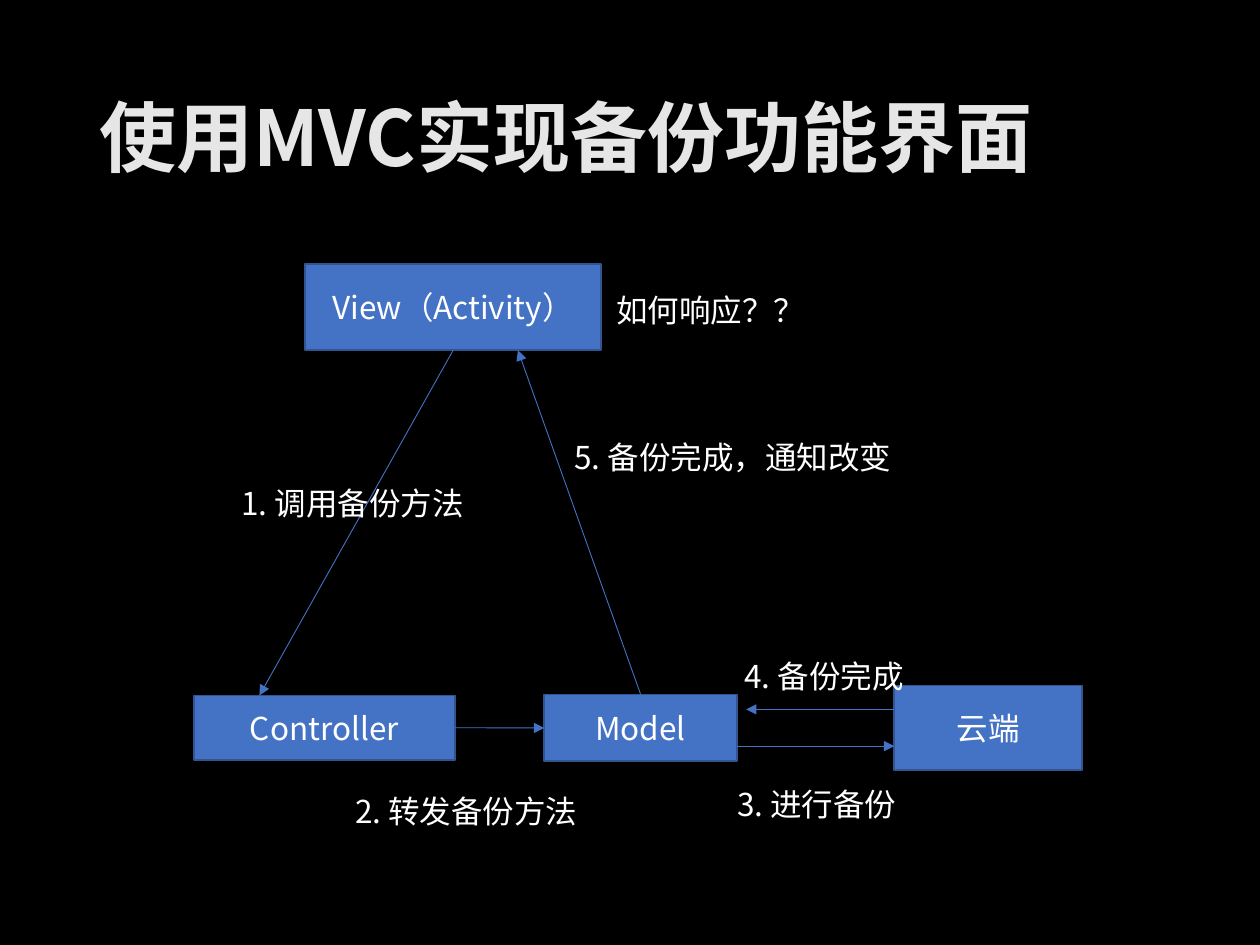
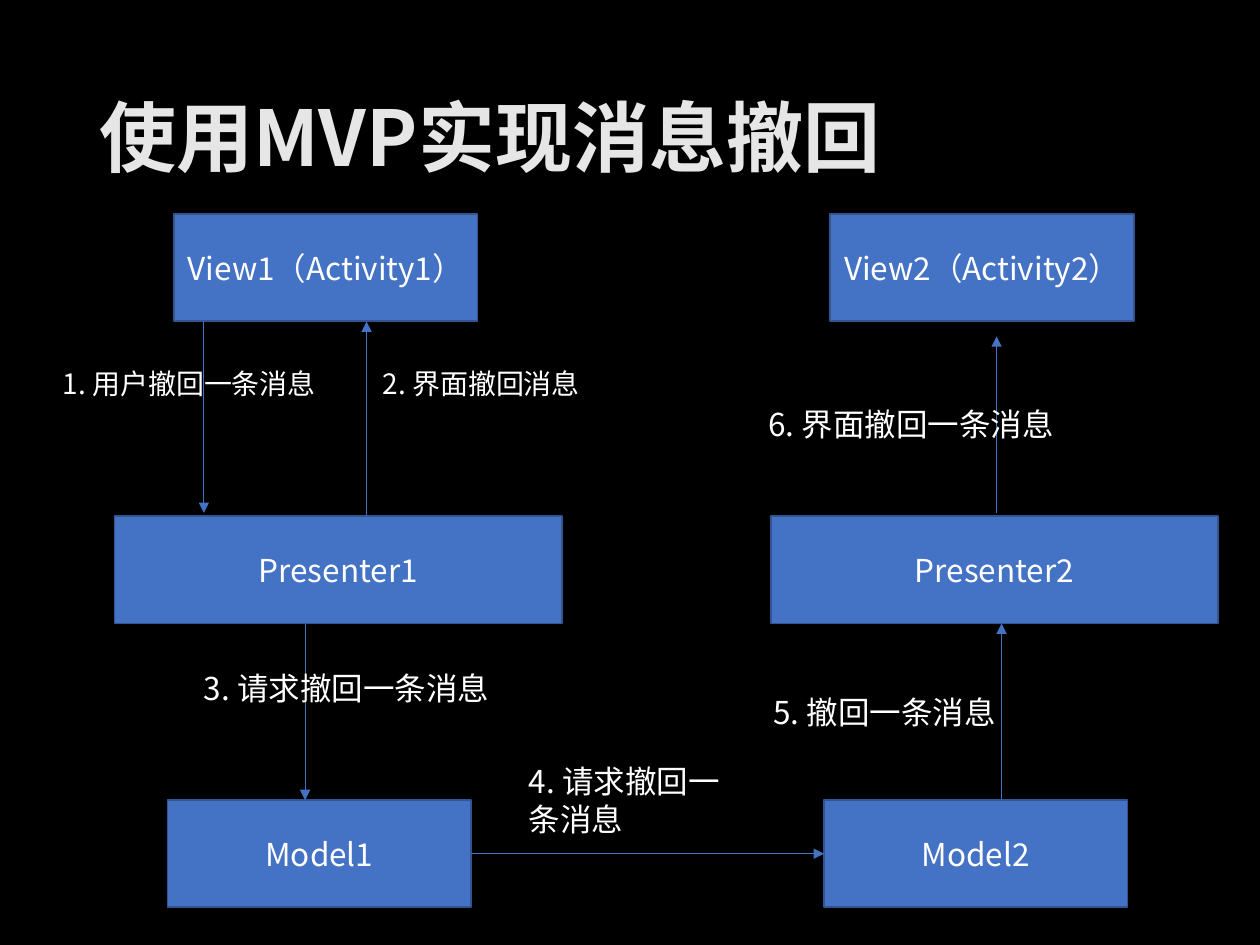
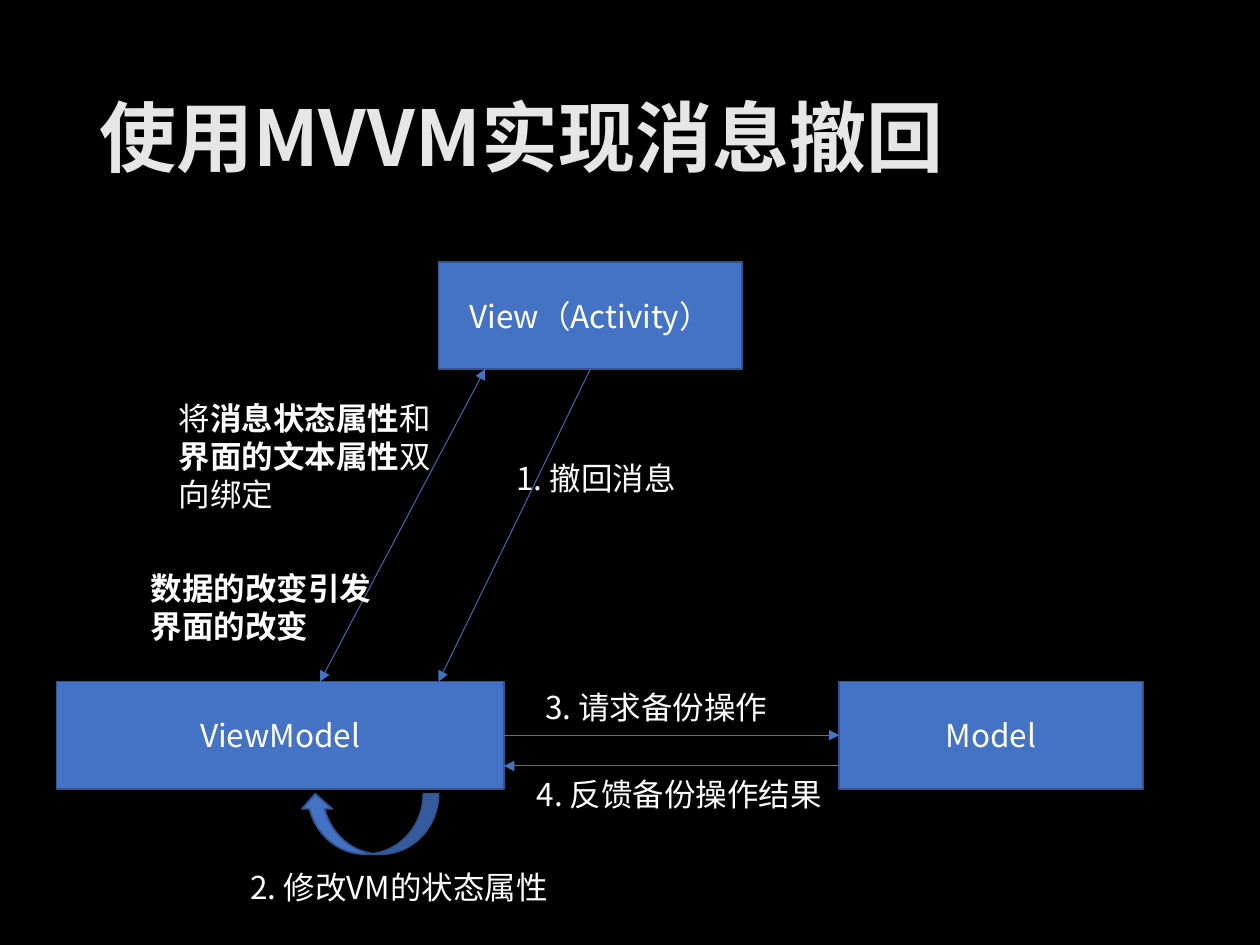
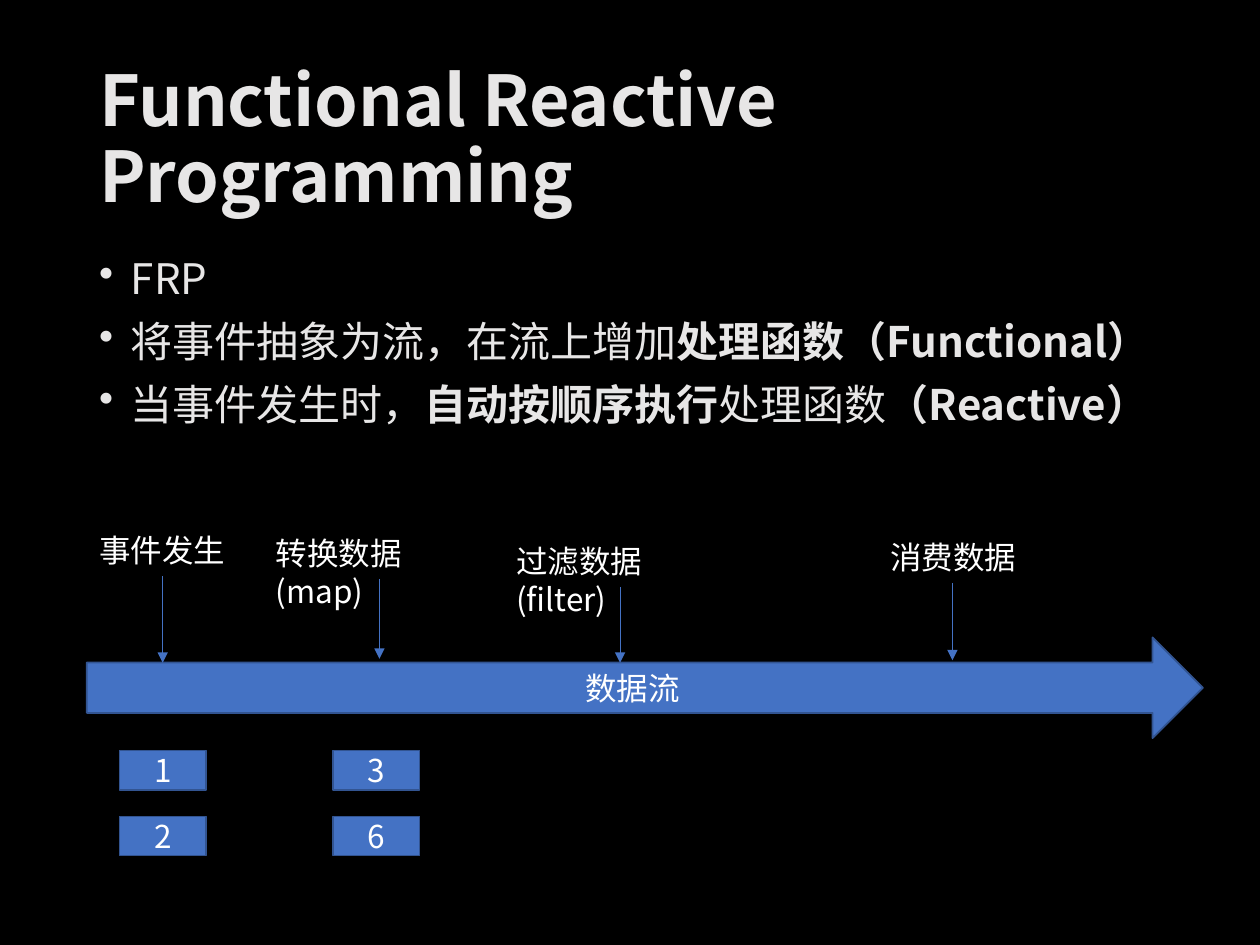
from dataclasses import dataclass

from lxml import etree
from pptx import Presentation
from pptx.dml.color import RGBColor
from pptx.enum.shapes import MSO_CONNECTOR, MSO_SHAPE
from pptx.enum.text import MSO_ANCHOR, MSO_AUTO_SIZE, PP_ALIGN
from pptx.oxml.ns import qn
from pptx.util import Cm, Pt

RECTANGLE = MSO_SHAPE.RECTANGLE
RIGHT_ARROW = MSO_SHAPE.RIGHT_ARROW
CURVED_ARROW = MSO_SHAPE.CURVED_DOWN_ARROW
STRAIGHT = MSO_CONNECTOR.STRAIGHT
MIDDLE = MSO_ANCHOR.MIDDLE
CENTER = PP_ALIGN.CENTER
GROW = MSO_AUTO_SIZE.SHAPE_TO_FIT_TEXT
TOP, LEFT, BOTTOM, RIGHT = range(4)

FONT = "Noto Sans CJK SC"
BLACK, WHITE, LIGHT = "000000", "FFFFFF", "E7E6E6"
BLUE, OUTLINE = "4472C4", "325491"
NODE_WIDTH, WIDE_WIDTH, NODE_HEIGHT = 6.12, 9.02, 2.16


def color(value):
    """Turn a hex string into a colour."""
    return RGBColor.from_string(value)


@dataclass
class Joint:
    """The middle of one side of a shape."""
    shape: object
    side: int


class Deck:
    """Holds the shared style and the current slide."""

    def __init__(self):
        """Start an empty 4:3 presentation."""
        self.presentation = Presentation()
        self.presentation.slide_width = Cm(25.4)
        self.presentation.slide_height = Cm(19.05)
        self.slide = None

    def new_slide(self, title, size=44):
        """Add a black slide with its title."""
        self.slide = self.presentation.slides.add_slide(self.presentation.slide_layouts[6])
        fill = self.slide.background.fill
        fill.solid()
        fill.fore_color.rgb = color(BLACK)
        text_frame = self.text_area(1.75, 1.02, 21.89, 3.68)
        text_frame.vertical_anchor = MIDDLE
        paragraph = text_frame.paragraphs[0]
        paragraph.line_spacing = 0.9
        self.set_text(paragraph, f"**{title}**", size, LIGHT)

    def set_text(self, paragraph, text, size=18, text_color=WHITE):
        """Fill a paragraph; parts between ** are bold."""
        pieces = text.split("**")
        paragraph.text = pieces[0]
        for piece in filter(None, pieces[1:]):
            paragraph.add_run().text = piece
        for run in paragraph.runs:
            run.font.name = FONT
            run.font.size = Pt(size)
            run.font.bold = run.text in pieces[1::2]
            run.font.color.rgb = color(text_color)
            east_asian = etree.SubElement(run.font._element, qn("a:ea"))
            east_asian.set("typeface", FONT)

    def text_area(self, left, top, width, height):
        """Add a wrapping text box and return its text frame."""
        shape = self.slide.shapes.add_textbox(Cm(left), Cm(top), Cm(width), Cm(height))
        shape.text_frame.word_wrap = True
        return shape.text_frame

    def label(self, text, left, top, width, height=1.02, size=18):
        """Add a caption that grows with its text."""
        text_frame = self.text_area(left, top, width, height)
        text_frame.auto_size = GROW
        self.set_text(text_frame.paragraphs[0], text, size)

    def bullets(self, items, left, top, width, height):
        """Add a bulleted list."""
        text_frame = self.text_area(left, top, width, height)
        for index, item in enumerate(items):
            paragraph = text_frame.add_paragraph() if index else text_frame.paragraphs[0]
            properties = paragraph._p.get_or_add_pPr()
            properties.set("marL", str(Cm(0.64)))
            properties.set("indent", str(Cm(-0.64)))
            etree.SubElement(properties, qn("a:buChar")).set("char", "•")
            paragraph.line_spacing = 0.9
            paragraph.space_before = Pt(10 if index else 0)
            self.set_text(paragraph, item, 24, LIGHT)

    def box(self, text, left, top, width=NODE_WIDTH, height=NODE_HEIGHT, kind=RECTANGLE):
        """Add a blue shape with centred text."""
        shape = self.slide.shapes.add_shape(kind, Cm(left), Cm(top), Cm(width), Cm(height))
        shape.shadow.inherit = False
        shape.fill.solid()
        shape.fill.fore_color.rgb = color(BLUE)
        shape.line.color.rgb = color(OUTLINE)
        shape.line.width = Pt(1)
        shape.text_frame.word_wrap = True
        shape.text_frame.vertical_anchor = MIDDLE
        paragraph = shape.text_frame.paragraphs[0]
        paragraph.alignment = CENTER
        self.set_text(paragraph, text)
        return shape

    def arrow(self, start, end, double=False):
        """Draw an arrow between two points or joints."""
        points = [(0, 0) if isinstance(target, Joint) else target for target in (start, end)]
        lengths = [Cm(value) for point in points for value in point]
        connector = self.slide.shapes.add_connector(STRAIGHT, *lengths)
        if isinstance(start, Joint):
            connector.begin_connect(start.shape, start.side)
        if isinstance(end, Joint):
            connector.end_connect(end.shape, end.side)
        connector.line.color.rgb = color(BLUE)
        connector.line.width = Pt(0.5)
        properties = connector.element.spPr
        line = properties.find(qn("a:ln"))
        for tag in ("a:headEnd", "a:tailEnd") if double else ("a:tailEnd",):
            etree.SubElement(line, qn(tag)).set("type", "triangle")
        etree.SubElement(properties, qn("a:effectLst"))


def build_mvc(deck):
    """Backup screen with MVC."""
    deck.new_slide("使用MVC实现备份功能界面")
    model = deck.box("Model", 10.97, 14, 3.89, 1.35)
    view = deck.box("View（Activity）", 6.15, 5.33, 5.97, 1.73)
    controller = deck.box("Controller", 3.91, 14.02, 5.26, 1.3)
    deck.box("云端", 18.03, 13.82, 3.78, 1.7)
    deck.arrow(Joint(view, BOTTOM), (5.23, 14.02))
    deck.arrow(Joint(controller, RIGHT), Joint(model, LEFT))
    deck.arrow(Joint(model, TOP), (10.44, 7.06))
    deck.arrow((14.86, 15.04), (18.03, 15.04))
    deck.arrow((18.03, 14.3), (15.04, 14.3))
    deck.label("1. 调用备份方法", 4.62, 9.63, 6.35)
    deck.label("2. 转发备份方法", 6.91, 15.85, 6.3)
    deck.label("3. 进行备份", 14.61, 15.7, 3.89)
    deck.label("4. 备份完成", 14.76, 13.13, 3.89)
    deck.label("5. 备份完成，通知改变", 11.33, 8.71, 6.93)
    deck.label("如何响应？？", 12.17, 5.74, 4.37)


def build_mvp(deck):
    """Message recall with MVP."""
    deck.new_slide("使用MVP实现消息撤回")
    models = []
    for number, offset in ((1, 0), (2, 13.23)):
        models.append(deck.box(f"Model{number}", 3.38 + offset, 16.13))
        deck.box(f"View{number}（Activity{number}）", 3.51 + offset, 4.32)
        deck.box(f"Presenter{number}", 2.31 + offset, 10.41, WIDE_WIDTH)
    for x, start, end in ((4.11, 6.48, 10.34), (6.15, 12.57, 16.13), (7.39, 10.41, 6.48),
                          (20.19, 16.13, 12.57), (20.09, 10.34, 6.78)):
        deck.arrow((x, start), (x, end))
    deck.arrow(Joint(models[0], RIGHT), Joint(models[1], LEFT))
    deck.label("1. 用户撤回一条消息", 1.02, 7.26, 5.69, 0.94, 16)
    deck.label("2. 界面撤回消息", 7.47, 7.26, 4.78, 0.94, 16)
    deck.label("3. 请求撤回一条消息", 3.86, 13.36, 6.76)
    deck.label("4. 请求撤回一条消息", 10.41, 15.24, 4.75, 1.8)
    deck.label("5. 撤回一条消息", 15.34, 13.84, 5)
    deck.label("6. 界面撤回一条消息", 15.24, 8.05, 6.3)


def build_mvvm(deck):
    """Message recall with MVVM."""
    deck.new_slide("使用MVVM实现消息撤回")
    model = deck.box("Model", 16.92, 13.74)
    view = deck.box("View（Activity）", 8.84, 5.28)
    view_model = deck.box("ViewModel", 1.14, 13.74, WIDE_WIDTH)
    deck.arrow(Joint(view_model, RIGHT), Joint(model, LEFT))
    deck.arrow((16.92, 15.44), (10.16, 15.44))
    deck.arrow((9.78, 7.44), (6.45, 13.74), double=True)
    deck.arrow(Joint(view, BOTTOM), (8.84, 13.74))
    loop = deck.box("", 6.05, 16, 2.79, 1.22, CURVED_ARROW)
    loop.rotation = 180
    deck.label("将**消息状态属性**和**界面的文本属性**双向绑定", 3.35, 7.92, 5.82, 2.64)
    deck.label("**数据的改变引发界面的改变**", 2.79, 11.35, 5.38, 1.8)
    deck.label("1. 撤回消息", 10.16, 9.12, 3.73)
    deck.label("2. 修改VM的状态属性", 4.8, 17.37, 6.6)
    deck.label("3. 请求备份操作", 10.74, 13.74, 5)
    deck.label("4. 反馈备份操作结果", 10.57, 15.49, 6.3)


def build_frp(deck):
    """Data stream of functional reactive programming."""
    deck.new_slide("Functional Reactive Programming", 40)
    deck.bullets(("FRP",
                  "将事件抽象为流，在流上增加**处理函数（Functional）**",
                  "当事件发生时，**自动按顺序执行**处理函数**（Reactive）**"),
                 1.75, 5.08, 21.89, 12.09)
    deck.box("数据流", 1.75, 12.85, 22.5, 2.03, RIGHT_ARROW)
    steps = (("事件发生", 1.75, 10.59, 3.07, 3.28, 13.36),
             ("转换数据(map)", 5.31, 10.64, 4.67, 7.65, 13.28),
             ("过滤数据(filter)", 10.16, 10.8, 4.67, 12.5, 13.36),
             ("消费数据", 17.7, 10.72, 3.07, 19.2, 13.31))
    for text, left, top, width, arrow_x, arrow_end in steps:
        deck.label(text, left, top, width)
        deck.arrow((arrow_x, top + 1.03), (arrow_x, arrow_end))
    for left, values in ((2.41, "12"), (6.71, "36")):
        for row, value in enumerate(values):
            deck.box(value, left, 15.13 + row * 1.33, 1.75, 0.79)


def main():
    """Build and save all slides."""
    deck = Deck()
    for build in (build_mvc, build_mvp, build_mvvm, build_frp):
        build(deck)
    deck.presentation.save("out.pptx")


if __name__ == "__main__":
    main()
